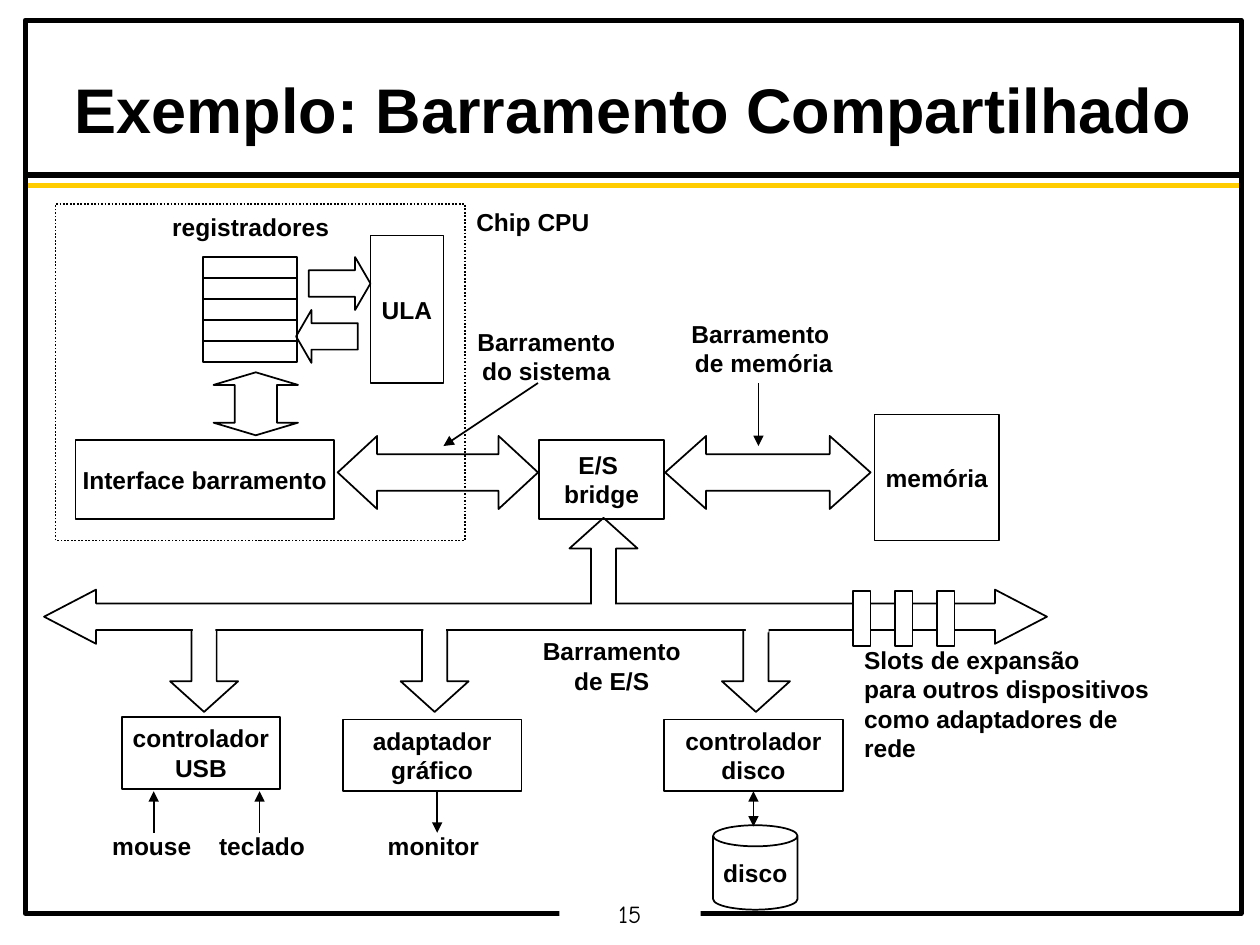
from dataclasses import dataclass
from typing import Any

from lxml.etree import SubElement
from pptx import Presentation
from pptx.dml.color import RGBColor
from pptx.enum.dml import MSO_LINE
from pptx.enum.shapes import MSO_CONNECTOR, MSO_SHAPE as Shape
from pptx.enum.text import MSO_ANCHOR as Anchor, MSO_AUTO_SIZE as AutoSize, PP_ALIGN as Align
from pptx.oxml.ns import qn
from pptx.util import Inches, Pt

BLACK = RGBColor(0x00, 0x00, 0x00)
WHITE = RGBColor(0xFF, 0xFF, 0xFF)
YELLOW = RGBColor(0xFF, 0xCC, 0x00)
BRANCH = (0.37, 0.45)  # shaft and head proportions of the I/O bus branches


def write(frame, text, align=Align.CENTER, size=14, font="Arial", bold=True,
          anchor=Anchor.MIDDLE, wrap=False, spacing=None):
    frame.word_wrap = wrap
    frame.vertical_anchor = anchor
    for i, line in enumerate(text.split("\n")):
        paragraph = frame.paragraphs[0] if i == 0 else frame.add_paragraph()
        paragraph.alignment = align
        if spacing:
            paragraph.line_spacing = spacing
        run = paragraph.add_run()
        run.text = line
        run.font.size, run.font.name, run.font.bold = Pt(size), font, bold
        run.font.color.rgb = BLACK


@dataclass
class Region:
    """Part of the slide; lengths given to its methods start at its corner."""
    slide: Any
    left: float
    top: float

    def place(self, x, y):
        return Inches(self.left + x), Inches(self.top + y)

    def shape(self, kind, x, y, width, height, text="", adjust=(), fill=None, line=1):
        shape = self.slide.shapes.add_shape(
            kind, *self.place(x, y), Inches(width), Inches(height))
        shape.shadow.inherit = False
        for i, value in enumerate(adjust):
            shape.adjustments[i] = value
        if fill is None:
            shape.fill.background()
        else:
            shape.fill.solid()
            shape.fill.fore_color.rgb = fill
        if line:
            shape.line.color.rgb = BLACK
            shape.line.width = Pt(line)
        else:
            shape.line.fill.background()
        if text:
            write(shape.text_frame, text)
        return shape

    def label(self, x, y, width, height, text, **style):
        box = self.slide.shapes.add_textbox(
            *self.place(x, y), Inches(width), Inches(height))
        write(box.text_frame, text, **style)
        if not box.text_frame.word_wrap:
            box.text_frame.auto_size = AutoSize.SHAPE_TO_FIT_TEXT
            box.text_frame.margin_left = box.text_frame.margin_right = Inches(0.05)
        return box

    def line(self, start, end, color=BLACK, width=1, head=False, tail=False):
        line = self.slide.shapes.add_connector(
            MSO_CONNECTOR.STRAIGHT, *self.place(*start), *self.place(*end))
        line.line.color.rgb = color
        line.line.width = Pt(width)
        outline = line.line._get_or_add_ln()
        for tag, wanted in (("a:headEnd", head), ("a:tailEnd", tail)):
            if wanted:
                SubElement(outline, qn(tag), type="triangle")
        SubElement(line._element.spPr, qn("a:effectLst"))
        return line


def add_frame(slide, left, top, width, height):
    frame = Region(slide, left, top)
    frame.line((0, 1.23), (width, 1.23), width=3)
    frame.line((0, 1.31), (width, 1.31), color=YELLOW, width=3)
    frame.shape(Shape.RECTANGLE, 0, 0, width, height, line=2.83)
    frame.shape(Shape.RECTANGLE, 4.24, 6.97, 1.12, 0.27, fill=WHITE, line=0)
    number = frame.label(4.24, 6.97, 1.12, 0.27, "15", font="Comic Neue",
                         bold=False, anchor=Anchor.TOP, spacing=0.9)
    number.text_frame.margin_top = number.text_frame.margin_bottom = Inches(0.03)


def add_title(slide, left, top, width, height):
    title = slide.shapes.title
    title.left, title.top = Inches(left), Inches(top)
    title.width, title.height = Inches(width), Inches(height)
    frame = title.text_frame
    frame.margin_left = frame.margin_right = Inches(0.07)
    frame.margin_top = frame.margin_bottom = Inches(0.03)
    write(frame, "Exemplo: Barramento Compartilhado", size=36,
          anchor=Anchor.TOP, wrap=True, spacing=0.95)


def add_cpu_chip(slide, left, top, width, height):
    chip = Region(slide, left, top)
    chip.shape(Shape.RECTANGLE, 0.16, 1.87, 2.05, 0.63, "Interface barramento")
    for register in range(5):
        chip.shape(Shape.RECTANGLE, 1.17, 0.42 + register / 6, 0.75, 1 / 6)
    chip.shape(Shape.RIGHT_ARROW, 2.01, 0.42, 0.49, 0.42, adjust=(0.5, 0.29))
    chip.shape(Shape.LEFT_ARROW, 1.91, 0.84, 0.49, 0.42, adjust=(0.5, 0.29))
    chip.shape(Shape.RECTANGLE, 2.5, 0.25, 0.58, 1.17, "ULA")
    chip.label(0.83, 0.01, 1.44, 0.34, "registradores")
    register_link = chip.shape(Shape.LEFT_RIGHT_ARROW, 1.34, 1.25, 0.5, 0.67,
                               adjust=(0.5, 0.2))
    register_link.rotation = 90
    border = chip.shape(Shape.RECTANGLE, 0, 0, width, height)
    border.line.dash_style = MSO_LINE.ROUND_DOT
    chip.label(width - 0.01, -0.03, 1.1, 0.34, "Chip CPU")


def add_system_buses(slide, left, top):
    """System bus, bridge, memory bus and memory, from left to right."""
    buses = Region(slide, left, top)
    buses.shape(Shape.LEFT_RIGHT_ARROW, 0, 0.98, 1.59, 0.58, adjust=(0.5, 0.54))
    buses.shape(Shape.RECTANGLE, 1.6, 1.01, 0.99, 0.63, "E/S \nbridge")
    buses.shape(Shape.LEFT_RIGHT_ARROW, 2.6, 0.98, 1.63, 0.58, adjust=(0.5, 0.56))
    buses.shape(Shape.RECTANGLE, 4.26, 0.81, 0.99, 1, "memória")
    buses.label(1.01, 0.06, 1.29, 0.57, "Barramento\ndo sistema")
    buses.line((1.59, 0.56), (0.84, 1.06), tail=True)
    buses.label(2.68, 0, 1.35, 0.57, "Barramento\n de memória")
    buses.line((3.34, 0.56), (3.34, 1.06), tail=True)


def add_io_bus(slide, left, top, width, height):
    bus = Region(slide, left, top)
    bus.shape(Shape.UP_ARROW, 4.17, -0.57, 0.54, 0.75, adjust=BRANCH)
    for x in (1, 2.83, 5.38):
        bus.shape(Shape.DOWN_ARROW, x, 0.22, 0.54, 0.75, adjust=BRANCH)
    bus.shape(Shape.LEFT_RIGHT_ARROW, 0, 0, width, height,
              adjust=(0.49, 0.96), fill=WHITE)
    # White joints open the bus outline where a branch meets it
    for x, y in ((1.18, 0.19), (3.01, 0.18), (5.57, 0.17), (4.35, 0.1)):
        bus.shape(Shape.RECTANGLE, x, y, 0.18, 0.17, fill=WHITE, line=0)
    bus.label(3.86, 0.32, 1.29, 0.57, "Barramento\nde E/S")
    for slot in range(3):
        bus.shape(Shape.RECTANGLE, 6.42 + slot / 3, 0.01, 0.14, 0.44, fill=WHITE)
    bus.label(6.41, 0.39, 2.97, 1.27,
              "Slots de expansão\npara outros dispositivos\ncomo adaptadores de\nrede",
              align=Align.LEFT, anchor=Anchor.TOP, wrap=True)


def add_devices(slide, left, top):
    """Controllers and the devices attached to them."""
    devices = Region(slide, left, top)
    devices.shape(Shape.RECTANGLE, 0.18, 0, 1.25, 0.57, "controlador\nUSB")
    devices.shape(Shape.RECTANGLE, 1.93, 0.02, 1.42, 0.57, "adaptador\ngráfico")
    disk_control = devices.shape(Shape.RECTANGLE, 4.48, 0.02, 1.42, 0.57,
                                 "controlador\ndisco")
    for x, label_x, width, name, is_input in (
            (0.43, 0, 0.83, "mouse", True),
            (1.27, 0.85, 0.88, "teclado", True),
            (2.68, 2.19, 0.92, "monitor", False)):
        devices.line((x, 0.59), (x, 0.92), head=is_input, tail=not is_input)
        devices.label(label_x, 0.85, width, 0.34, name)
    link = devices.line((5.19, 0.59), (5.19, 0.87), head=True, tail=True)
    link.begin_connect(disk_control, 2)
    devices.shape(Shape.CAN, 4.87, 0.86, 0.67, 0.67, "disco", adjust=(0.25,))


def main():
    deck = Presentation()
    deck.slide_width, deck.slide_height = Inches(10), Inches(7.5)
    slide = deck.slides.add_slide(deck.slide_layouts[5])
    add_frame(slide, 0.2, 0.16, 9.65, 7.09)
    add_title(slide, 0.2, 0.57, 9.65, 0.63)
    add_system_buses(slide, 2.68, 2.48)
    add_cpu_chip(slide, 0.44, 1.62, 3.25, 2.67)
    add_io_bus(slide, 0.35, 4.68, 7.96, 0.43)
    add_devices(slide, 0.79, 5.69)
    deck.save("out.pptx")


if __name__ == "__main__":
    main()
